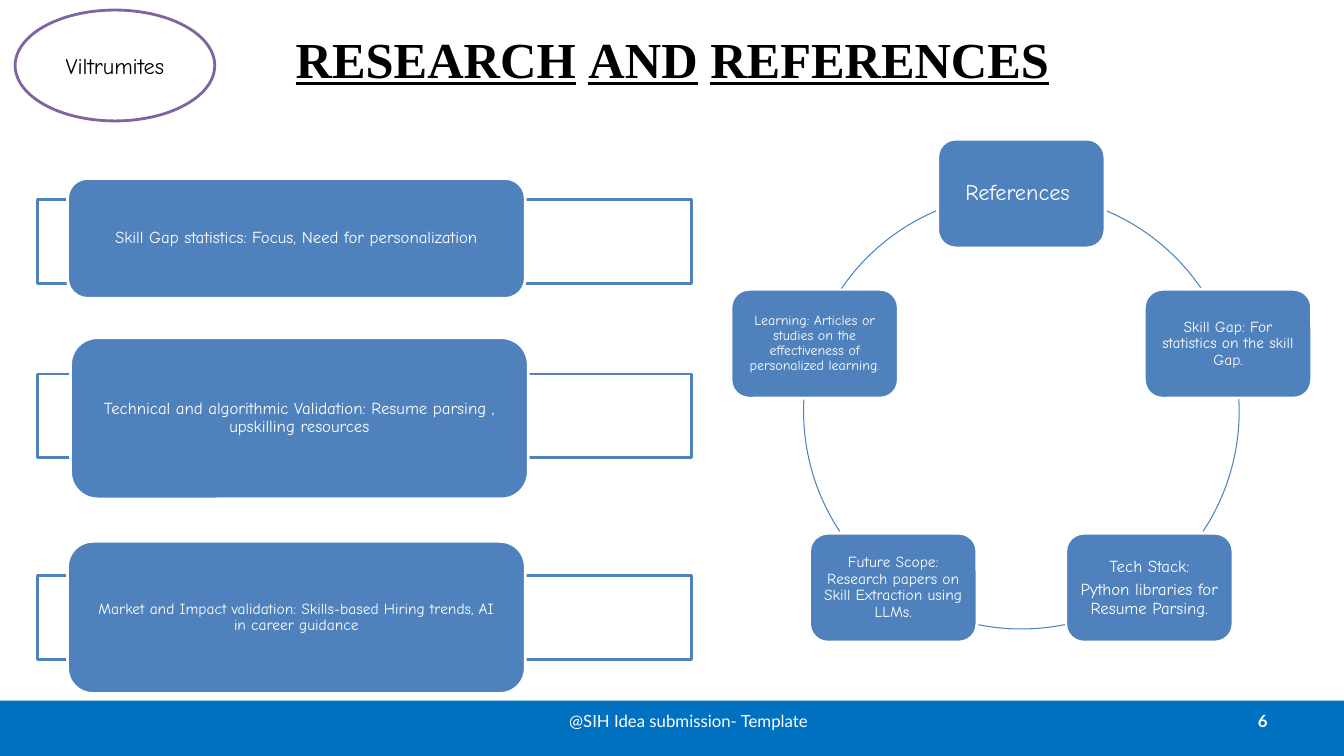
"""Build the research and references slide."""
import math
from dataclasses import dataclass

from pptx import Presentation
from pptx import util as u
from pptx.dml.color import RGBColor
from pptx.enum import shapes, text
from pptx.shapes.autoshape import Shape
from pptx.slide import Slide
from pptx.text.text import TextFrame

PX = 9144
WHITE, BLACK, BLUE, BAR_BLUE, PURPLE = "FFFFFF", "000000", "4F81BD", "0070C0", "8064A2"
BODY_FONT, FOOTER_FONT, TITLE_FONT = "Comic Neue", "Lato", "Times New Roman"
CENTER_X, CENTER_Y, RADIUS = 1013, 408, 216
NODE_WIDTH, NODE_HEIGHT = 166, 108
CARD_WIDTH = 454
ARC_ANGLE_UNIT = 0.6


@dataclass
class Node:
    lines: list[str]
    size: int
    inset: int


@dataclass
class Card:
    label: str
    size: int
    left: int
    top: int
    height: int
    frame_top: int


@dataclass
class Arc:
    start: float
    end: float


@dataclass
class FooterText:
    label: str
    left: int
    width: int
    align: text.PP_ALIGN
    bold: bool


NODES = [
    Node(["References "], 16, 7),
    Node(["Skill Gap: For statistics on the skill Gap."], 11, 5),
    Node(["Tech Stack:", "Python libraries for Resume Parsing."], 12, 5),
    Node(["Future Scope: Research papers on Skill Extraction using LLMs."], 11, 5),
    Node(["Learning: Articles or studies on the effectiveness of personalized learning."], 10, 4),
]
ARCS = [Arc(293.1, 325.7), Arc(356.8, 33.5), Arc(78.5, 101.5), Arc(146.5, 183.2), Arc(214.3, 246.9)]
CARDS = [
    Card("Skill Gap statistics: Focus, Need for personalization", 12, 67, 177, 119, 198),
    Card("Technical and algorithmic Validation: Resume parsing , upskilling resources",
         12, 70, 335, 160, 371),
    Card("Market and Impact validation: Skills-based Hiring trends, AI in career guidance",
         11, 67, 537, 151, 571),
]
FOOTER_TEXTS = [
    FooterText("6", 956, 311, text.PP_ALIGN.RIGHT, True),
    FooterText("@SIH Idea submission- Template", 508, 350, text.PP_ALIGN.CENTER, False),
]


def color(value: str) -> RGBColor:
    return RGBColor.from_string(value)


def box(left: float, top: float, width: float, height: float) -> list[u.Emu]:
    return [u.Emu(round(length) * PX) for length in (left, top, width, height)]


def add_shape(slide: Slide, kind: shapes.MSO_SHAPE, area: list[u.Emu], fill: str | None,
              line: str | None, line_width: float = 2) -> Shape:
    shape = slide.shapes.add_shape(kind, *area)
    shape.shadow.inherit = False
    if fill:
        shape.fill.solid()
        shape.fill.fore_color.rgb = color(fill)
    else:
        shape.fill.background()
    if line:
        shape.line.color.rgb = color(line)
        shape.line.width = u.Pt(line_width)
    else:
        shape.line.fill.background()
    return shape


def write(frame: TextFrame, lines: list[str], size: int, font: str = BODY_FONT,
          ink: str = WHITE, align: text.PP_ALIGN = text.PP_ALIGN.CENTER,
          bold: bool = False, spacing: float = 1.0) -> None:
    frame.word_wrap = True
    frame.vertical_anchor = text.MSO_ANCHOR.MIDDLE
    for index, line in enumerate(lines):
        paragraph = frame.add_paragraph() if index else frame.paragraphs[0]
        paragraph.text = line
        paragraph.alignment = align
        paragraph.line_spacing = spacing
        if index:
            paragraph.space_before = u.Pt(round(size * 0.35))
        paragraph.font.name = font
        paragraph.font.size = u.Pt(size)
        paragraph.font.bold = bold
        paragraph.font.color.rgb = color(ink)


def set_insets(frame: TextFrame, horizontal: int, vertical: int) -> None:
    frame.margin_left = frame.margin_right = u.Emu(horizontal * PX)
    frame.margin_top = frame.margin_bottom = u.Emu(vertical * PX)


def add_title(slide: Slide, words: list[str]) -> None:
    title = slide.shapes.title
    title.left, title.top, title.width, title.height = box(67, -5, 1200, 125)
    frame = title.text_frame
    frame.auto_size = text.MSO_AUTO_SIZE.NONE
    frame.vertical_anchor = text.MSO_ANCHOR.MIDDLE
    paragraph = frame.paragraphs[0]
    paragraph.alignment = text.PP_ALIGN.CENTER
    for index, word in enumerate(words):
        if index:
            paragraph.add_run().text = " "
        run = paragraph.add_run()
        run.text = word
        run.font.underline = True
    for run in paragraph.runs:
        run.font.name = TITLE_FONT
        run.font.size = u.Pt(36)
        run.font.bold = True
        run.font.color.rgb = color(BLACK)


def add_footer(slide: Slide) -> None:
    add_shape(slide, shapes.MSO_SHAPE.RECTANGLE, box(0, 695, 1333, 55), BAR_BLUE, None)
    for item in FOOTER_TEXTS:
        textbox = slide.shapes.add_textbox(*box(item.left, 695, item.width, 40))
        write(textbox.text_frame, [item.label], 12, FOOTER_FONT, align=item.align, bold=item.bold)


def add_cycle(slide: Slide) -> None:
    for index, (node, arc) in enumerate(zip(NODES, ARCS)):
        angle = math.radians(index * 360 / len(NODES) - 90)
        left = CENTER_X + RADIUS * math.cos(angle) - NODE_WIDTH / 2
        top = CENTER_Y + RADIUS * math.sin(angle) - NODE_HEIGHT / 2
        shape = add_shape(slide, shapes.MSO_SHAPE.ROUNDED_RECTANGLE,
                          box(left, top, NODE_WIDTH, NODE_HEIGHT), BLUE, WHITE)
        set_insets(shape.text_frame, node.inset, node.inset)
        write(shape.text_frame, node.lines, node.size, spacing=0.9)
        circle = box(CENTER_X - RADIUS, CENTER_Y - RADIUS, 2 * RADIUS, 2 * RADIUS)
        link = add_shape(slide, shapes.MSO_SHAPE.ARC, circle, None, BLUE, 0.75)
        link.adjustments[0] = arc.start * ARC_ANGLE_UNIT * 100 / 100
        link.adjustments[1] = arc.end * ARC_ANGLE_UNIT


def add_card(slide: Slide, card: Card) -> None:
    add_shape(slide, shapes.MSO_SHAPE.RECTANGLE, box(37, card.frame_top, 649, 83), WHITE, BLUE)
    shape = add_shape(slide, shapes.MSO_SHAPE.ROUNDED_RECTANGLE,
                      box(card.left, card.top, CARD_WIDTH, card.height), BLUE, WHITE)
    set_insets(shape.text_frame, 17, 0)
    write(shape.text_frame, [card.label], card.size, spacing=0.9)


def main() -> None:
    presentation = Presentation()
    presentation.slide_width, presentation.slide_height = u.Inches(13.33), u.Inches(7.5)
    slide = presentation.slides.add_slide(presentation.slide_layouts[5])
    add_title(slide, ["RESEARCH", "AND", "REFERENCES"])
    add_footer(slide)
    team = add_shape(slide, shapes.MSO_SHAPE.OVAL, box(15, 10, 198, 110), WHITE, PURPLE)
    write(team.text_frame, ["Viltrumites"], 16, ink=BLACK)
    add_cycle(slide)
    for card in CARDS:
        add_card(slide, card)
    presentation.save("out.pptx")


if __name__ == "__main__":
    main()
